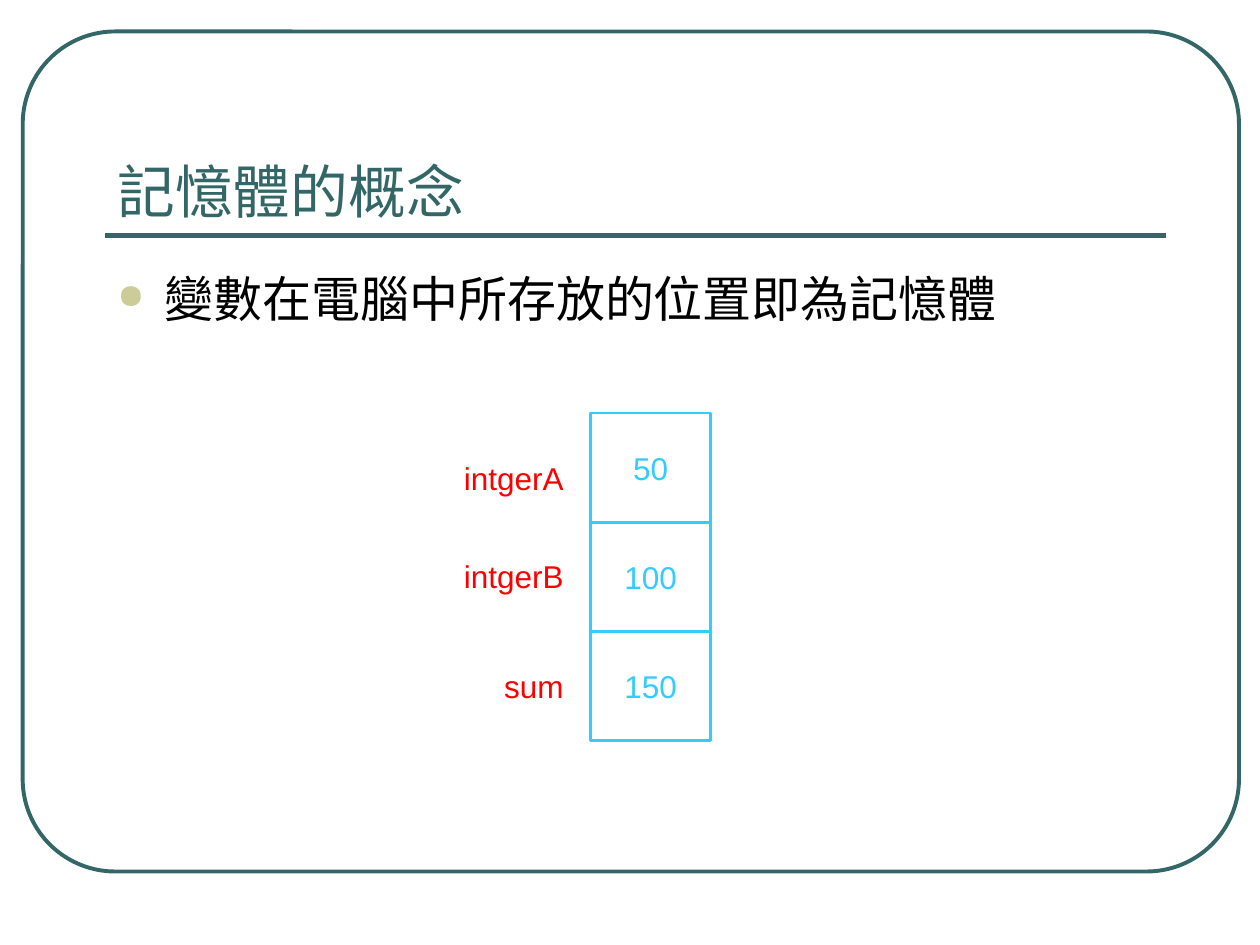
from lxml import etree
from pptx import Presentation
from pptx.dml.color import RGBColor
from pptx.enum import shapes, text
from pptx.oxml.ns import qn
from pptx.util import Pt

# Content
TITLE = "記憶體的概念"
POINT = "變數在電腦中所存放的位置即為記憶體"
CELLS = ["50", "100", "150"]
LABELS = [("intgerA", 258, 258.5), ("intgerB", 258, 314.5), ("sum", 281, 377.5)]

HEX = {"teal": "336666", "khaki": "CCCC99", "black": "000000",
       "sky": "33CCFF", "red": "FF0000"}
LEFT, WIDTH = 60, 606
CELL_X, CELL_Y, CELL_W, CELL_H = 337.5, 236, 68.5, 62.4

deck = Presentation()
deck.slide_width, deck.slide_height = Pt(720), Pt(540)
slide = deck.slides.add_slide(deck.slide_layouts[6])


def rgb(name):
    return RGBColor.from_string(HEX[name])


def write(shape, words, size, color, font="Arial", anchor="TOP", wrap=True):
    frame = shape.text_frame
    frame.word_wrap = wrap
    frame.vertical_anchor = getattr(text.MSO_ANCHOR, anchor)
    para = frame.paragraphs[0]
    run = para.add_run()
    run.text = words
    run.font.size, run.font.name = Pt(size), font
    run.font.color.rgb = rgb(color)
    return para


def label(x, y, w, h, *args, **style):
    box = slide.shapes.add_textbox(Pt(x), Pt(y), Pt(w), Pt(h))
    return write(box, *args, **style)


def outline(kind, x, y, w, h, color, weight):
    shape = slide.shapes.add_shape(kind, Pt(x), Pt(y), Pt(w), Pt(h))
    shape.shadow.inherit = False
    shape.fill.background()
    shape.line.color.rgb = rgb(color)
    shape.line.width = Pt(weight)
    return shape


def bullet(para, indent):
    props = para._p.get_or_add_pPr()
    props.set("marL", str(Pt(indent)))
    props.set("indent", str(-Pt(indent)))
    tint = etree.SubElement(props, qn("a:buClr"))
    etree.SubElement(tint, qn("a:srgbClr"), val=HEX["khaki"])
    etree.SubElement(props, qn("a:buSzPct"), val="70000")
    etree.SubElement(props, qn("a:buChar"), char="●")


# Frame and title rule
frame = outline(shapes.MSO_SHAPE.ROUNDED_RECTANGLE, 13, 18, 695, 480, "teal", 2.25)
frame.adjustments[0] = 0.11
rule = slide.shapes.add_connector(shapes.MSO_CONNECTOR.STRAIGHT, Pt(LEFT),
                                  Pt(134.6), Pt(LEFT + WIDTH), Pt(134.6))
rule.line.color.rgb = rgb("teal")
rule.line.width = Pt(3)
etree.SubElement(rule._element.spPr, qn("a:effectLst"))

# Title and bullet point
label(LEFT, 42, WIDTH, 90, TITLE, 33, "teal", font="Montserrat", anchor="BOTTOM")
bullet(label(LEFT, 150, WIDTH, 52, POINT, 28, "black"), 27)

# Memory cells
for row, value in enumerate(CELLS):
    cell = outline(shapes.MSO_SHAPE.RECTANGLE, CELL_X, CELL_Y + row * CELL_H,
                   CELL_W, CELL_H, "sky", 1.5)
    para = write(cell, value, 18, "sky", anchor="MIDDLE", wrap=False)
    para.alignment = text.PP_ALIGN.CENTER

# Variable names
for name, x, y in LABELS:
    label(x, y, 79, 29, name, 18, "red")

deck.save("out.pptx")
